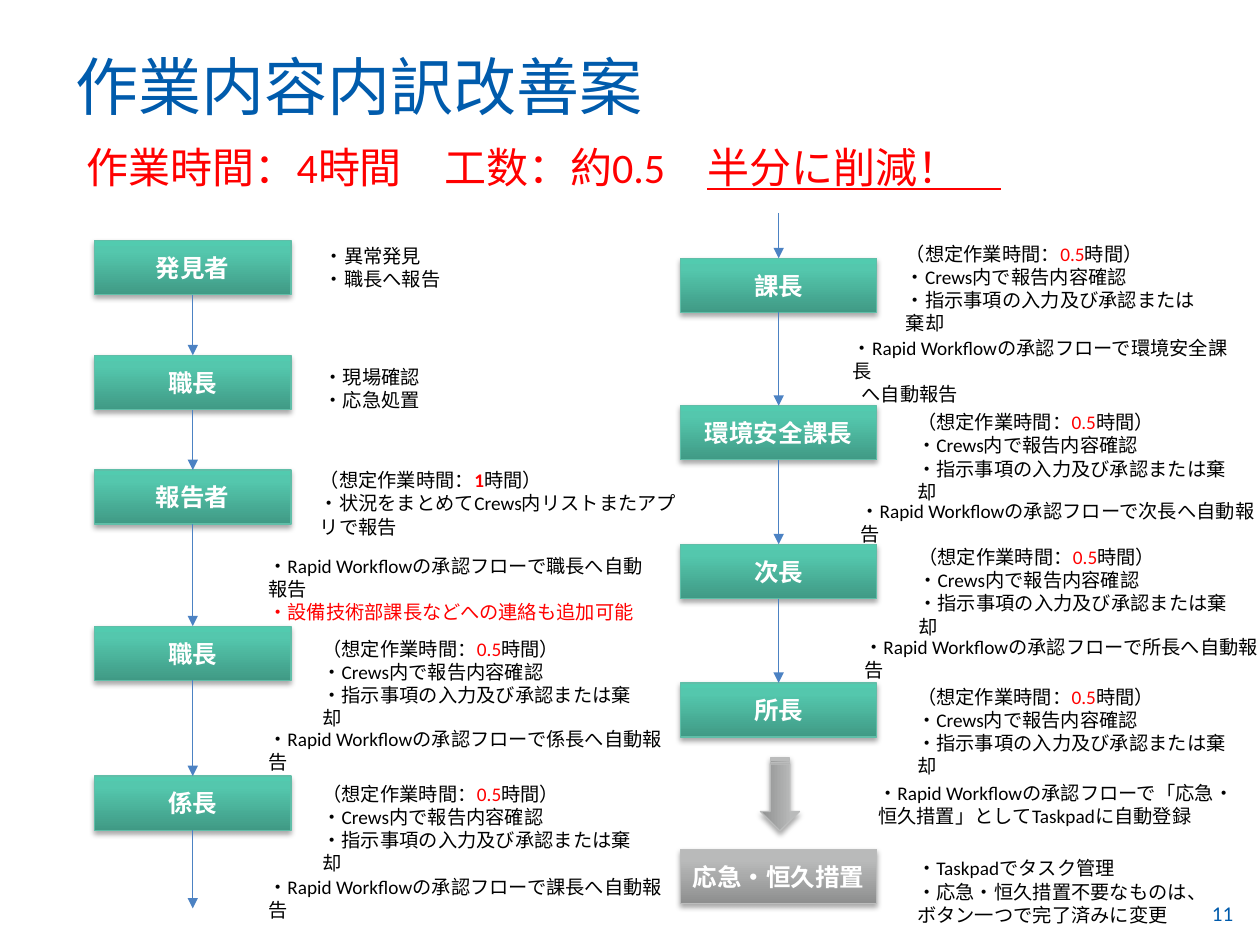
"""Builds the slide on the improved breakdown of work steps."""
from lxml import etree
from copy import deepcopy
from pptx import Presentation
from pptx import util as u
from pptx.dml.color import RGBColor
from pptx.enum import shapes, text
from pptx.oxml.ns import qn

COLORS = {
    "title": "005BAC", "black": "000000", "red": "FF0000", "white": "FFFFFF",
    "arrow": "4C82C3", "green_line": "60BEA8", "gray_line": "BBBCBC",
}
GRADIENTS = {
    "green": ("409A85", "54C7AD", "52CBAF"),
    "gray": ("8E8F8F", "B9BABA", "BABBBB"),
}
STOPS = (0, 0.8, 1)
BOX_WIDTH, BOX_HEIGHT = 1.56, 0.43


class FlowSlide:
    """Holds the text styles and the current slide."""

    styles = {
        "title": {"size": u.Pt(36), "color": "title"},
        "summary": {"size": u.Pt(24), "color": "red"},
        "role": {"size": u.Pt(14), "color": "white", "bold": True},
        "note": {"size": u.Pt(11), "color": "black"},
        "number": {"size": u.Pt(12), "color": "title"},
    }

    def __init__(self, page):
        self.page = page

    def set_text(self, frame, paragraphs, style, align=text.PP_ALIGN.LEFT):
        """Fill a frame with paragraphs of plain text or (text, changes) spans."""
        for index, spans in enumerate(paragraphs):
            para = frame.paragraphs[0] if index == 0 else frame.add_paragraph()
            para.alignment = align
            for item in [spans] if isinstance(spans, str) else spans:
                words, changes = (item, {}) if isinstance(item, str) else item
                span = para.add_run()
                span.text = words
                values = {"name": "Calibri", **self.styles[style], **changes}
                span.font.color.rgb = RGBColor.from_string(COLORS[values.pop("color")])
                for name, value in values.items():
                    setattr(span.font, name, value)

    def title(self, words, left, top, width, height):
        """Place and fill the title placeholder."""
        box = self.page.shapes.title
        place = {"left": left, "top": top, "width": width, "height": height}
        for name, value in place.items():
            setattr(box, name, u.Inches(value))
        box.text_frame.vertical_anchor = text.MSO_ANCHOR.BOTTOM
        self.set_text(box.text_frame, [words], "title")

    def label(self, left, top, width, height, paragraphs, style="note"):
        """Add a wrapped text box."""
        box = self.page.shapes.add_textbox(*map(u.Inches, (left, top, width, height)))
        box.text_frame.word_wrap = True
        self.set_text(box.text_frame, paragraphs, style)
        return box

    def block(self, kind, left, top, width, height, tone):
        """Add a shape with a gradient fill and a soft shadow."""
        box = self.page.shapes.add_shape(kind, *map(u.Inches, (left, top, width, height)))
        box.fill.gradient()
        stop_list = box._element.spPr.find(".//" + qn("a:gsLst"))
        stop_list.append(deepcopy(stop_list[-1]))
        for stop, position, color in zip(box.fill.gradient_stops, STOPS, GRADIENTS[tone]):
            stop.position = position
            stop.color.rgb = RGBColor.from_string(color)
        box.fill.gradient_angle = 90
        box.line.color.rgb = RGBColor.from_string(COLORS[tone + "_line"])
        box.line.width = u.Pt(0.75)
        box.shadow.inherit = False
        effects = box._element.spPr.find(qn("a:effectLst"))
        shadow = etree.SubElement(effects, qn("a:outerShdw"), blurRad=str(u.Pt(3.1)),
                                  dist=str(u.Pt(1.8)), dir="5400000", rotWithShape="0")
        color = etree.SubElement(shadow, qn("a:srgbClr"), val=COLORS["black"])
        etree.SubElement(color, qn("a:alpha"), val="35000")
        return box

    def role(self, words, left, top, tone="green"):
        """Add a role box with a centred name."""
        box = self.block(shapes.MSO_SHAPE.RECTANGLE, left, top, BOX_WIDTH, BOX_HEIGHT, tone)
        box.text_frame.vertical_anchor = text.MSO_ANCHOR.MIDDLE
        box.text_frame.word_wrap = True
        for side in ("margin_left", "margin_right"):
            setattr(box.text_frame, side, u.Inches(0.05))
        self.set_text(box.text_frame, [words], "role", text.PP_ALIGN.CENTER)

    def arrow(self, x, start, end):
        """Add a downward arrow."""
        line = self.page.shapes.add_connector(
            shapes.MSO_CONNECTOR.STRAIGHT, *map(u.Inches, (x, start, x, end)))
        line.line.color.rgb = RGBColor.from_string(COLORS["arrow"])
        line.line.width = u.Pt(0.75)
        etree.SubElement(line._element.spPr.get_or_add_ln(), qn("a:tailEnd"), type="triangle")
        etree.SubElement(line._element.spPr, qn("a:effectLst"))

    def chain(self, left, steps, arrow_ends):
        """Add a column of role boxes and the arrows between them."""
        for name, top in steps:
            self.role(name, left, top)
        for start, end in arrow_ends:
            self.arrow(left + BOX_WIDTH / 2, start, end)


def hours(value, **changes):
    """Return the line that gives the expected working time."""
    return ["（想定作業時間：", (value, {"color": "red", **changes}), "時間）"]


def report(target):
    """Return the line on automatic reporting to a role."""
    return f"・Rapid Workflowの承認フローで{target}"


def gaps(tops):
    """Return the start and end of each arrow between stacked boxes."""
    return [(upper + BOX_HEIGHT, lower) for upper, lower in zip(tops, tops[1:])]


def main():
    """Build and save the deck."""
    deck = Presentation()
    deck.slide_width, deck.slide_height = u.Inches(10), u.Inches(7.5)
    flow = FlowSlide(deck.slides.add_slide(deck.slide_layouts[5]))

    flow.title("作業内容内訳改善案", 0.5, 0.26, 9, 0.77)
    flow.label(0.59, 1.07, 8.22, 0.55, [[
        "作業時間：4時間　工数：約0.5　", ("半分に削減！　", {"underline": True})]], "summary")
    flow.label(9.52, 7.1, 0.48, 0.4, ["11"], "number")

    left_steps = [("発見者", 1.91), ("職長", 2.82), ("報告者", 3.73),
                  ("職長", 4.97), ("係長", 6.16)]
    right_steps = [("課長", 2.05), ("環境安全課長", 3.22), ("次長", 4.32), ("所長", 5.42)]
    left_tops = [top for _, top in left_steps] + [7.21]
    right_tops = [top for _, top in right_steps]
    flow.chain(0.75, left_steps, gaps(left_tops))
    flow.chain(5.4, right_steps, [(1.69, right_tops[0])] + gaps(right_tops))
    flow.block(shapes.MSO_SHAPE.STRIPED_RIGHT_ARROW, 5.9, 6.15, 0.58, 0.31, "gray").rotation = 90
    flow.role("応急・恒久措置", 5.4, 6.74, "gray")

    review = [hours("0.5"), "・Crews内で報告内容確認", "・指示事項の入力及び承認または棄却"]
    for left, top, width in [(2.46, 5.01, 2.79), (2.46, 6.16, 2.79), (7.09, 1.87, 2.62),
                             (7.18, 3.21, 2.7), (7.19, 4.28, 2.69), (7.18, 5.39, 2.7)]:
        flow.label(left, top, width, 0.7, review)

    flow.label(2.48, 1.89, 1.78, 0.49, ["・異常発見", "・職長へ報告"])
    flow.label(2.47, 2.85, 1.78, 0.43, ["・現場確認", "・応急処置"])
    flow.label(2.44, 3.67, 3.08, 0.51, [
        hours("1", bold=True), "・状況をまとめてCrews内リストまたアプリで報告"])
    flow.label(7.18, 6.75, 2.56, 0.62, [
        "・Taskpadでタスク管理", "・応急・恒久措置不要なものは、ボタン一つで完了済みに変更"])

    flow.label(2.03, 4.35, 3.31, 0.55, [
        report("職長へ自動報告"), [("・設備技術部課長などへの連絡も追加可能", {"color": "red"})]])
    for target, left, top in [("係長", 2.03, 5.72), ("課長", 2.03, 6.9),
                              ("次長", 6.73, 3.91), ("所長", 6.76, 4.99)]:
        flow.label(left, top, 3.34, 0.35, [report(target + "へ自動報告")])
    safety = flow.label(6.67, 2.62, 3.22, 0.35, [report("環境安全課長"), "へ自動報告"])
    safety.text_frame.paragraphs[1]._p.get_or_add_pPr().set("marL", str(u.Inches(0.07)))
    flow.label(6.87, 6.15, 3.05, 0.35, [
        report("「応急・恒久措置」としてTaskpadに自動登録")])

    deck.save("out.pptx")


if __name__ == "__main__":
    main()
